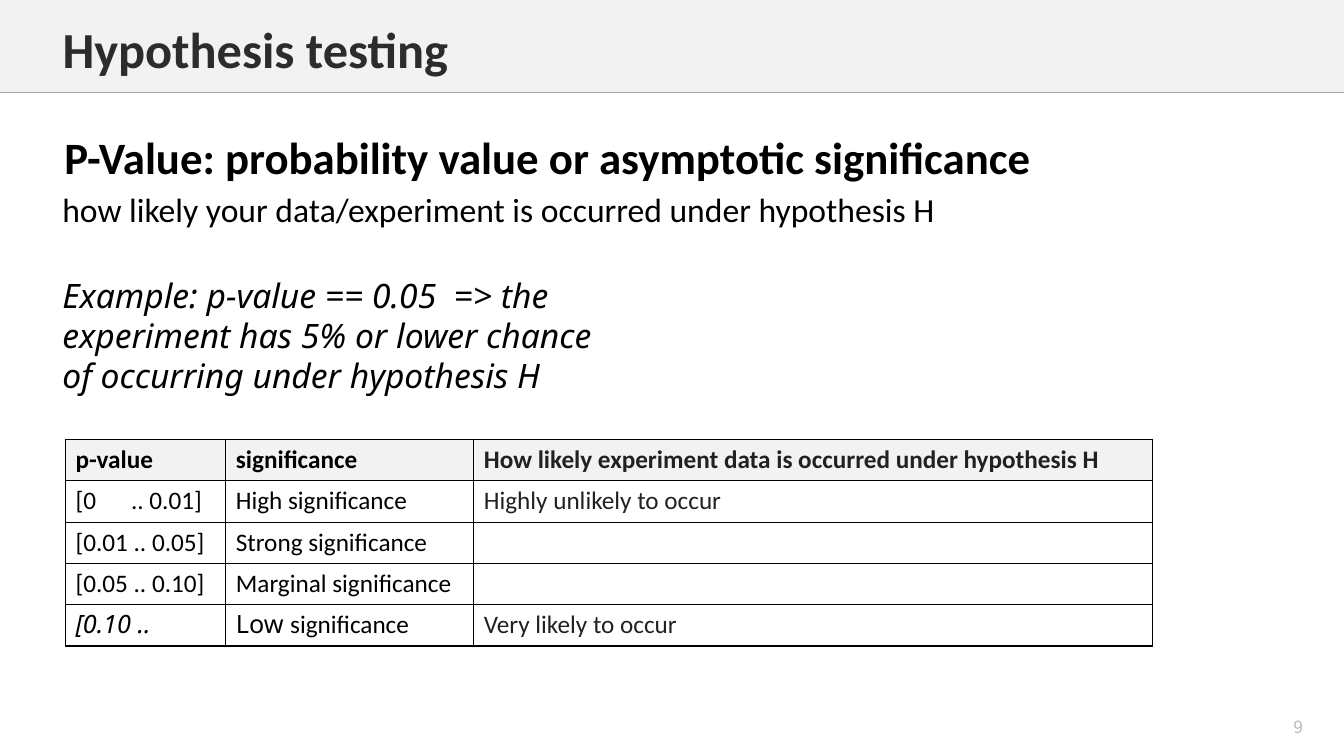
from lxml import etree
from pptx import Presentation
from pptx import util as u
from pptx.dml.color import RGBColor
from pptx.enum import shapes, text
from pptx.oxml import ns

PX = 9144  # 100 px to the inch
BLACK = RGBColor(0x00, 0x00, 0x00)
TITLE_GREY = RGBColor(0x2C, 0x2C, 0x2C)
DARK_GREY = RGBColor(0x20, 0x21, 0x22)
LINE_GREY = RGBColor(0xA6, 0xA6, 0xA6)
NUMBER_GREY = RGBColor(0xBF, 0xBF, 0xBF)
PALE_GREY = RGBColor(0xF2, 0xF2, 0xF2)

CELL = dict(name="Calibri", size=u.Pt(18), bold=False, italic=False)
NOTO_CELL = dict(CELL, name="Noto Sans")
NOTO_CELL_LINE = u.Pt(22)

COLUMN_WIDTHS = [159, 246, 673]
ROW_HEIGHT = 41
ROWS = [
    ["p-value", "significance",
     "How likely experiment data is occurred under hypothesis H"],
    ["[0\t.. 0.01]", "High significance", "Highly unlikely to occur"],
    ["[0.01 .. 0.05]", "Strong significance", ""],
    ["[0.05 .. 0.10]", "Marginal significance", ""],
    ["[0.10 ..", "Low significance", "Very likely to occur"],
]


def px(*lengths):
    return [u.Emu(length * PX) for length in lengths]


def add_run(paragraph, words, color, styles):
    run = paragraph.add_run()
    run.text = words
    for key, value in styles.items():
        setattr(run.font, key, value)
    run.font.color.rgb = color


def write_box(shape, box, words, color, line_spacing=None,
              align=text.PP_ALIGN.LEFT, anchor=text.MSO_ANCHOR.TOP, **styles):
    shape.left, shape.top, shape.width, shape.height = px(*box)
    frame = shape.text_frame
    frame.word_wrap = True
    frame.vertical_anchor = anchor
    frame.auto_size = text.MSO_AUTO_SIZE.NONE
    paragraph = frame.paragraphs[0]
    paragraph.alignment = align
    if line_spacing:
        paragraph.line_spacing = line_spacing
    add_run(paragraph, words, color, styles)


def add_text(slide, box, words, color, **formats):
    write_box(slide.shapes.add_textbox(*px(*box)), box, words, color, **formats)


def add_header_band(slide):
    band = slide.shapes.add_shape(shapes.MSO_SHAPE.RECTANGLE, *px(0, 0, 1333, 92))
    band.shadow.inherit = False
    band.fill.solid()
    band.fill.fore_color.rgb = PALE_GREY
    band.line.fill.background()
    rule = slide.shapes.add_connector(
        shapes.MSO_CONNECTOR.STRAIGHT, *px(0, 92, 1333, 92))
    rule.line.color.rgb = LINE_GREY
    rule.line.width = u.Pt(1)
    etree.SubElement(rule.element.spPr, ns.qn("a:effectLst"))


def add_borders(cell):
    properties = cell._tc.get_or_add_tcPr()
    for index, side in enumerate(["lnL", "lnR", "lnT", "lnB"]):
        border = etree.Element(ns.qn("a:" + side), w=str(u.Pt(1)))
        fill = etree.SubElement(border, ns.qn("a:solidFill"))
        etree.SubElement(fill, ns.qn("a:srgbClr"), val=str(BLACK))
        properties.insert(index, border)


def add_tab_stop(paragraph, position):
    tabs = etree.SubElement(paragraph._p.get_or_add_pPr(), ns.qn("a:tabLst"))
    etree.SubElement(tabs, ns.qn("a:tab"), pos=str(position * PX), algn="l")


def fill_cell(cell, words, row, column):
    if row == 0:
        cell.fill.solid()
        cell.fill.fore_color.rgb = PALE_GREY
    else:
        cell.fill.background()
    add_borders(cell)
    paragraph = cell.text_frame.paragraphs[0]
    color = DARK_GREY if column == 2 else BLACK
    if words.startswith("[0.10"):
        paragraph.line_spacing = NOTO_CELL_LINE
        add_run(paragraph, words, color, dict(NOTO_CELL, italic=True))
    elif words.startswith("Low "):
        paragraph.line_spacing = NOTO_CELL_LINE
        add_run(paragraph, "Low ", color, NOTO_CELL)
        add_run(paragraph, "significance", color, CELL)
    elif words:
        if "\t" in words:
            add_tab_stop(paragraph, 55)
        add_run(paragraph, words, color, dict(CELL, bold=row == 0))


def add_significance_table(slide):
    size = px(65, 436, sum(COLUMN_WIDTHS), ROW_HEIGHT * len(ROWS))
    table = slide.shapes.add_table(len(ROWS), len(COLUMN_WIDTHS), *size).table
    table.horz_banding = False
    for column, width in zip(table.columns, COLUMN_WIDTHS):
        column.width = u.Emu(width * PX)
    for row, entries in enumerate(ROWS):
        table.rows[row].height = u.Emu(ROW_HEIGHT * PX)
        for column, words in enumerate(entries):
            fill_cell(table.cell(row, column), words, row, column)


def main():
    presentation = Presentation()
    presentation.slide_width, presentation.slide_height = px(1333, 750)
    slide = presentation.slides.add_slide(presentation.slide_layouts[5])

    # Header: the title goes in front of the band
    add_header_band(slide)
    title = slide.shapes.title
    slide.shapes.element.append(title.element)
    write_box(title, (52, 13, 1189, 71), "Hypothesis testing", TITLE_GREY,
              name="Calibri", size=u.Pt(36), bold=True)

    # Definition and example
    add_text(slide, (54, 124, 1030, 64),
             "P-Value: probability value or asymptotic significance", BLACK,
             name="Calibri", size=u.Pt(32), bold=True)
    add_text(slide, (52, 183, 1173, 50),
             "how likely your data/experiment is occurred under hypothesis H",
             BLACK, name="Calibri", size=u.Pt(24))
    add_text(slide, (52, 268, 552, 131),
             "Example: p-value == 0.05  => the experiment has 5% or lower "
             "chance of occurring under hypothesis H",
             BLACK, line_spacing=u.Pt(28.6),
             name="Noto Sans", size=u.Pt(24), italic=True)

    # Significance levels
    add_significance_table(slide)

    # Slide number
    add_text(slide, (1244, 706, 87, 31), "9", NUMBER_GREY,
             align=text.PP_ALIGN.CENTER, anchor=text.MSO_ANCHOR.MIDDLE,
             name="DejaVu Sans Mono", size=u.Pt(12))

    presentation.save("out.pptx")


if __name__ == "__main__":
    main()
